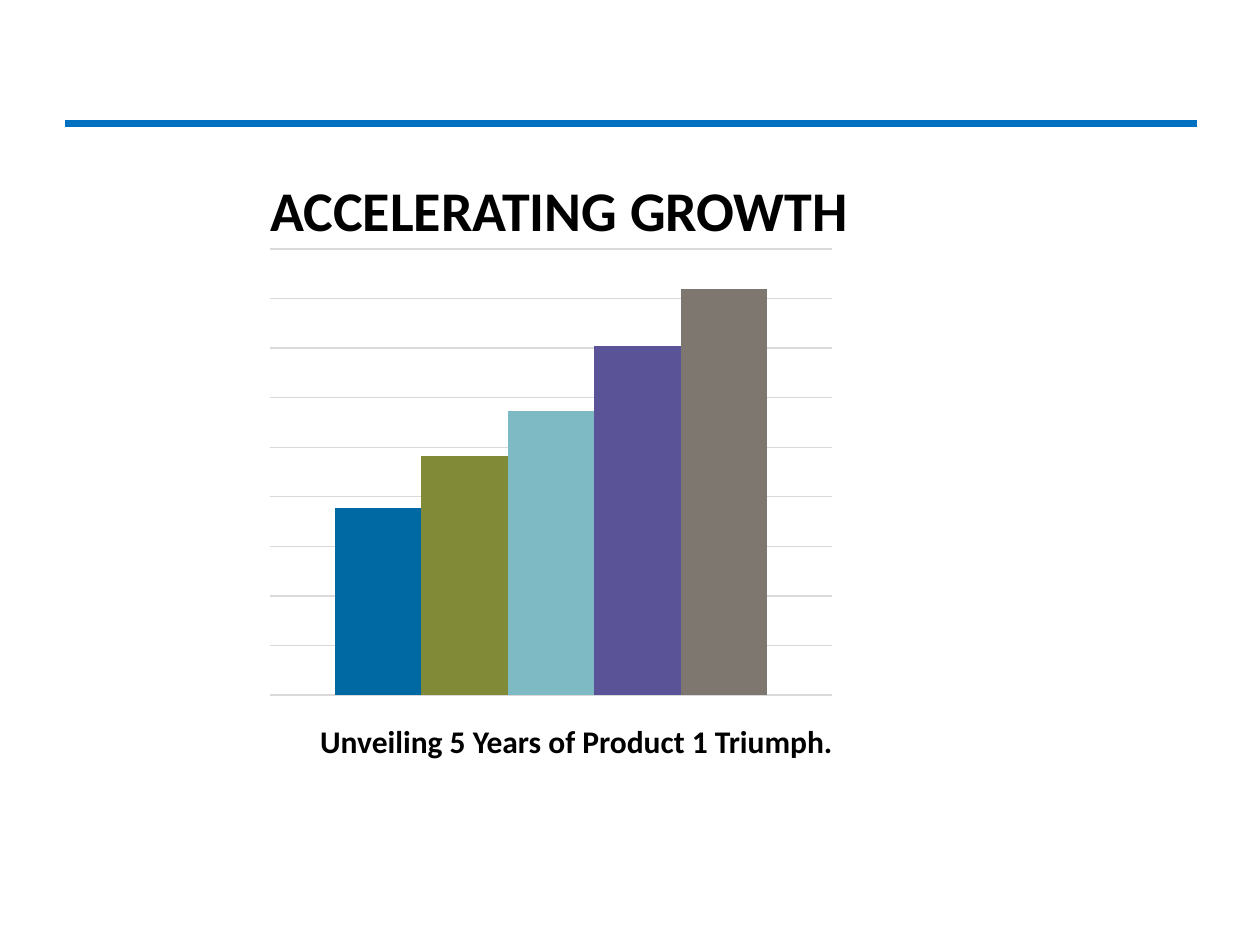
from lxml import etree
from pptx import Presentation
from pptx.chart.data import CategoryChartData
from pptx.dml.color import RGBColor
from pptx.enum.chart import XL_CHART_TYPE, XL_TICK_LABEL_POSITION, XL_TICK_MARK
from pptx.enum.shapes import MSO_CONNECTOR
from pptx.enum.text import PP_ALIGN
from pptx.oxml.ns import qn
from pptx.util import Cm, Pt

COLUMNS = XL_CHART_TYPE.COLUMN_CLUSTERED
NO_LABELS = XL_TICK_LABEL_POSITION.NONE
NO_TICKS = XL_TICK_MARK.NONE
STRAIGHT = MSO_CONNECTOR.STRAIGHT
CENTER = PP_ALIGN.CENTER

BLACK = "000000"
RULE_BLUE = "0070C0"
GRID_GREY = "D9D9D9"
PRODUCT_YEARS = [
    ("Series 1", 46, "0069A3"),
    ("Series 2", 59, "818A37"),
    ("Series 3", 70, "7DBAC4"),
    ("Series 4", 86, "5A5397"),
    ("Series 5", 100, "7E776F"),
]
AXIS_MAXIMUM = 110
GRID_INTERVALS = 9


def color(hex_string):
    return RGBColor.from_string(hex_string)


def add_header_rule(slide, left, top, width):
    rule = slide.shapes.add_connector(STRAIGHT, left, top, left + width, top)
    rule.line.color.rgb = color(RULE_BLUE)
    rule.line.width = Pt(4.5)
    etree.SubElement(rule._element.spPr, qn("a:effectLst"))


def add_heading_and_caption(slide, left, top, width, height):
    text_frame = slide.shapes.add_textbox(left, top, width, height).text_frame
    text_frame.word_wrap = True
    text_frame.text = "ACCELERATING GROWTH\nUnveiling 5 Years of Product 1 Triumph."
    heading, caption = text_frame.paragraphs
    for paragraph, size in ((heading, 32), (caption, 18)):
        paragraph.line_spacing = 0.9
        font = paragraph.runs[0].font
        font.name = "Calibri"
        font.size = Pt(size)
        font.bold = True
        font.color.rgb = color(BLACK)
    # The gap leaves room for the chart
    caption.space_before = Pt(276)
    caption.alignment = CENTER


def add_growth_chart(slide, left, top, width, height):
    chart_data = CategoryChartData()
    chart_data.categories = ["1"]
    for name, value, _ in PRODUCT_YEARS:
        chart_data.add_series(name, [value])
    chart = slide.shapes.add_chart(COLUMNS, left, top, width, height, chart_data).chart
    chart.has_legend = False
    chart.has_title = False
    chart.font.name = "Arial"
    chart.font.size = Pt(10)
    chart.font.color.rgb = color(BLACK)

    # Columns
    plot = chart.plots[0]
    plot.gap_width = 150
    plot.overlap = 0
    plot.vary_by_categories = False
    for series, (_, _, fill) in zip(plot.series, PRODUCT_YEARS):
        series.format.fill.solid()
        series.format.fill.fore_color.rgb = color(fill)

    # Hidden axes with gridlines
    for axis in (chart.category_axis, chart.value_axis):
        axis.tick_label_position = NO_LABELS
        axis.major_tick_mark = NO_TICKS
        axis.minor_tick_mark = NO_TICKS
        axis.visible = False
    value_axis = chart.value_axis
    value_axis.minimum_scale = 0
    value_axis.maximum_scale = AXIS_MAXIMUM
    value_axis.major_unit = round(AXIS_MAXIMUM / GRID_INTERVALS, 2)
    value_axis.has_major_gridlines = True
    gridline = value_axis.major_gridlines.format.line
    gridline.color.rgb = color(GRID_GREY)
    gridline.width = Pt(0.75)


def main():
    presentation = Presentation()
    presentation.slide_width = Cm(25.4)
    presentation.slide_height = Cm(19.05)
    slide = presentation.slides.add_slide(presentation.slide_layouts[6])
    add_header_rule(slide, Cm(1.32), Cm(2.49), Cm(22.81))
    add_heading_and_caption(slide, Cm(5.2), Cm(3.56), Cm(12.85), Cm(13.54))
    add_growth_chart(slide, Cm(5.2), Cm(4.83), Cm(11.81), Cm(9.37))
    presentation.save("out.pptx")


if __name__ == "__main__":
    main()
